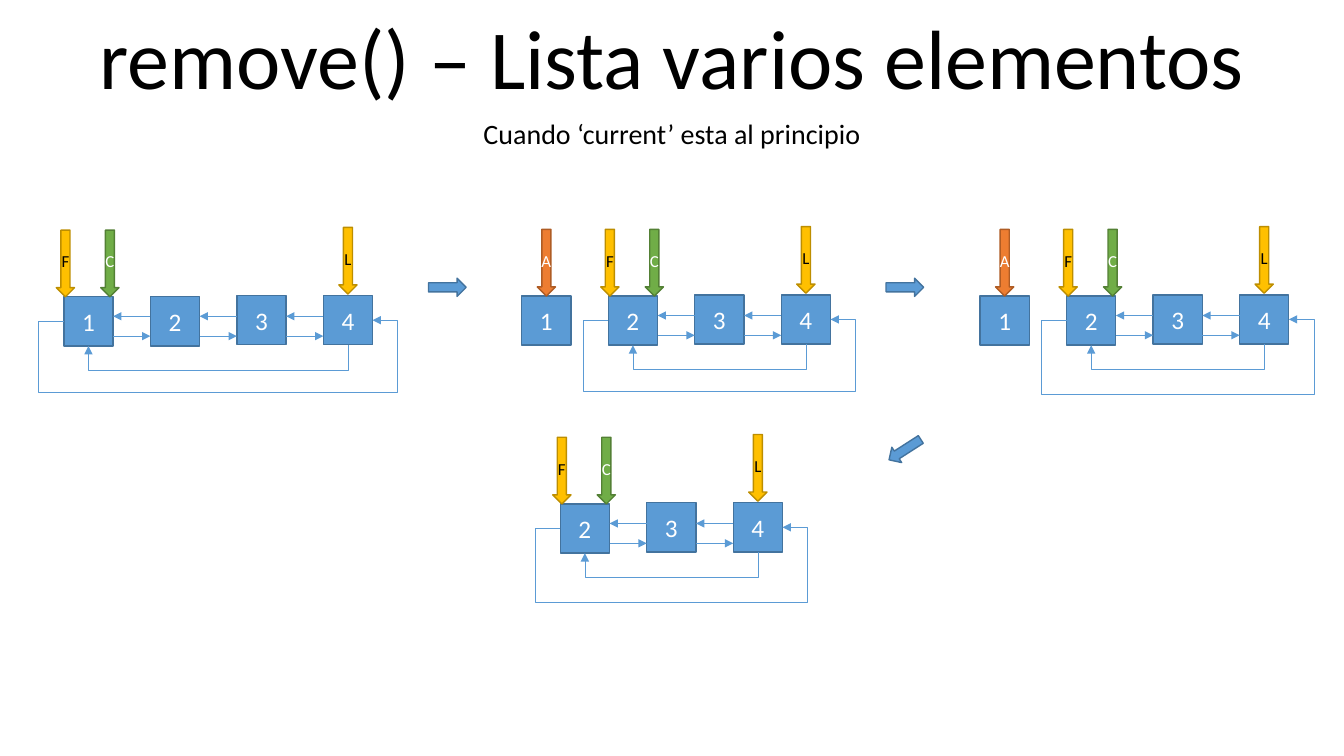
from dataclasses import dataclass

from lxml import etree
from pptx import Presentation
from pptx import util as u
from pptx.dml.color import RGBColor
from pptx.enum import shapes, text
from pptx.oxml.ns import qn


@dataclass(frozen=True)
class Theme:
    font: str = "Calibri"
    title: int = 60
    subtitle: int = 20
    node: int = 18
    pointer: int = 12
    black: str = "000000"
    white: str = "FFFFFF"
    blue: tuple = ("5B9BD5", "43739E")
    gold: tuple = ("FFC000", "BD8E00")
    green: tuple = ("70AD47", "538035")
    orange: tuple = ("ED7D31", "AF5C24")


theme = Theme()
SIDE, PITCH, LIFT = 1.24, 2.18, 0.03  # node size, node spacing, rise of nodes 3 and 4
MIDDLE, LOOP = SIDE / 2, 0.64
POINTER_WIDTH, POINTER_HEIGHT = 0.46, 1.68

# pointer label: (node it belongs to, or None for the head; x offset; gap; colours; ink)
POINTERS = {
    "F": (None, -0.19, 0, theme.gold, theme.black),
    "C": (None, 0.93, 0, theme.green, theme.white),
    "L": (4, 0.39, 0.04, theme.gold, theme.black),
    "A": (1, 0.39, 0, theme.orange, theme.white),
}

# left of node 1, top, first node shown, head of the list, pointers, depth of outer loop
STAGES = [
    (1.61, 7.48, 1, 1, "FLC", 1.78),
    (13.15, 7.46, 1, 2, "FLCA", 1.78),
    (24.7, 7.46, 1, 2, "FLCA", 1.85),
    (11.94, 12.7, 2, 2, "FLC", 1.85),
]
STEPS = [(10.8, 7.01, 0), (22.33, 7.01, 0), (22.33, 11.1, 147.3)]


def add_box(parent, kind, place, colours, label="", size=theme.node, ink=theme.white):
    """Add a preset shape; place is left, top, width, height in centimetres."""
    box = parent.add_shape(kind, *map(u.Cm, place))
    box.shadow.inherit = False
    box.fill.solid()
    box.fill.fore_color.rgb = RGBColor.from_string(colours[0])
    box.line.color.rgb = RGBColor.from_string(colours[1])
    box.line.width = u.Pt(1)
    if label:
        frame = box.text_frame
        frame.margin_left = frame.margin_right = frame.margin_top = frame.margin_bottom = 0
        frame.word_wrap = False
        frame.vertical_anchor = text.MSO_ANCHOR.MIDDLE
        write(frame, label, size, ink)
    return box


def write(frame, words, size, ink=theme.black):
    para = frame.paragraphs[0]
    para.alignment = text.PP_ALIGN.CENTER
    span = para.add_run()
    span.text = words
    span.font.name = theme.font
    span.font.size = u.Pt(size)
    span.font.color.rgb = RGBColor.from_string(ink)


deck = Presentation()
deck.slide_width, deck.slide_height = u.Cm(33.87), u.Cm(19.05)
page = deck.slides.add_slide(deck.slide_layouts[5])

title = page.shapes.title
title.left, title.top, title.width, title.height = map(u.Cm, (0.02, 0, 33.83, 2.82))
title.text_frame.vertical_anchor = text.MSO_ANCHOR.TOP
write(title.text_frame, "remove() – Lista varios elementos", theme.title)

subtitle = page.shapes.add_textbox(*map(u.Cm, (0.02, 2.82, 33.83, 1.11)))
subtitle.text_frame.word_wrap = True
write(subtitle.text_frame, "Cuando ‘current’ esta al principio", theme.subtitle)

for origin, top, first, head, pointers, depth in STAGES:
    stage = page.shapes.add_group_shape().shapes
    corner = {n: (origin + (n - 1) * PITCH, top - LIFT * (n > 2)) for n in range(1, 5)}

    for number in range(first, 5):
        add_box(stage, shapes.MSO_SHAPE.RECTANGLE, (*corner[number], SIDE, SIDE),
                theme.blue, str(number))

    for label in pointers:
        owner, shift, gap, colours, ink = POINTERS[label]
        left, node_top = corner[owner or head]
        add_box(stage, shapes.MSO_SHAPE.DOWN_ARROW,
                (left + shift, node_top - POINTER_HEIGHT - gap, POINTER_WIDTH, POINTER_HEIGHT),
                colours, label, theme.pointer, ink)

    # link: begin x, begin y, end x, end y, preset, adjustments, rotation
    links = []
    for number in range(head, 4):
        right, following = corner[number][0] + SIDE, corner[number + 1][0]
        links.append((following, top + 0.49, right, top + 0.49, "line", (), 0))
        links.append((right, top + 0.99, following, top + 0.99, "line", (), 0))

    head_left, last_left = corner[head][0], corner[4][0]
    span_width = last_left - head_left
    centre_x = (head_left + last_left) / 2 + MIDDLE
    centre_y = top + SIDE - LIFT / 2
    links.append((centre_x - LIFT / 2, centre_y - span_width / 2,
                  centre_x + LIFT / 2, centre_y + span_width / 2,
                  "bentConnector3", (LOOP / LIFT,), 90))
    overhang = LOOP / (span_width + SIDE)
    links.append((head_left, top + MIDDLE, last_left + SIDE, top + MIDDLE - LIFT,
                  "bentConnector5", (-overhang, -depth / LIFT, 1 + overhang), 0))

    for *ends, preset, adjustments, rotation in links:
        link = stage.add_connector(shapes.MSO_CONNECTOR.STRAIGHT, *map(u.Cm, ends))
        link.line.color.rgb = RGBColor.from_string(theme.blue[0])
        link.line.width = u.Pt(0.5)
        properties = link._element.spPr
        etree.SubElement(properties.find(qn("a:ln")), qn("a:tailEnd"), type="triangle")
        etree.SubElement(properties, qn("a:effectLst"))
        geometry = properties.find(qn("a:prstGeom"))
        geometry.set("prst", preset)
        for index, ratio in enumerate(adjustments, 1):
            etree.SubElement(geometry.find(qn("a:avLst")), qn("a:gd"),
                             name=f"adj{index}", fmla=f"val {round(ratio * 100000)}")
        if rotation:
            properties.find(qn("a:xfrm")).set("rot", str(rotation * 60000))

for left, top, rotation in STEPS:
    step = add_box(page.shapes, shapes.MSO_SHAPE.RIGHT_ARROW, (left, top, 0.95, 0.46), theme.blue)
    step.rotation = rotation

deck.save("out.pptx")
